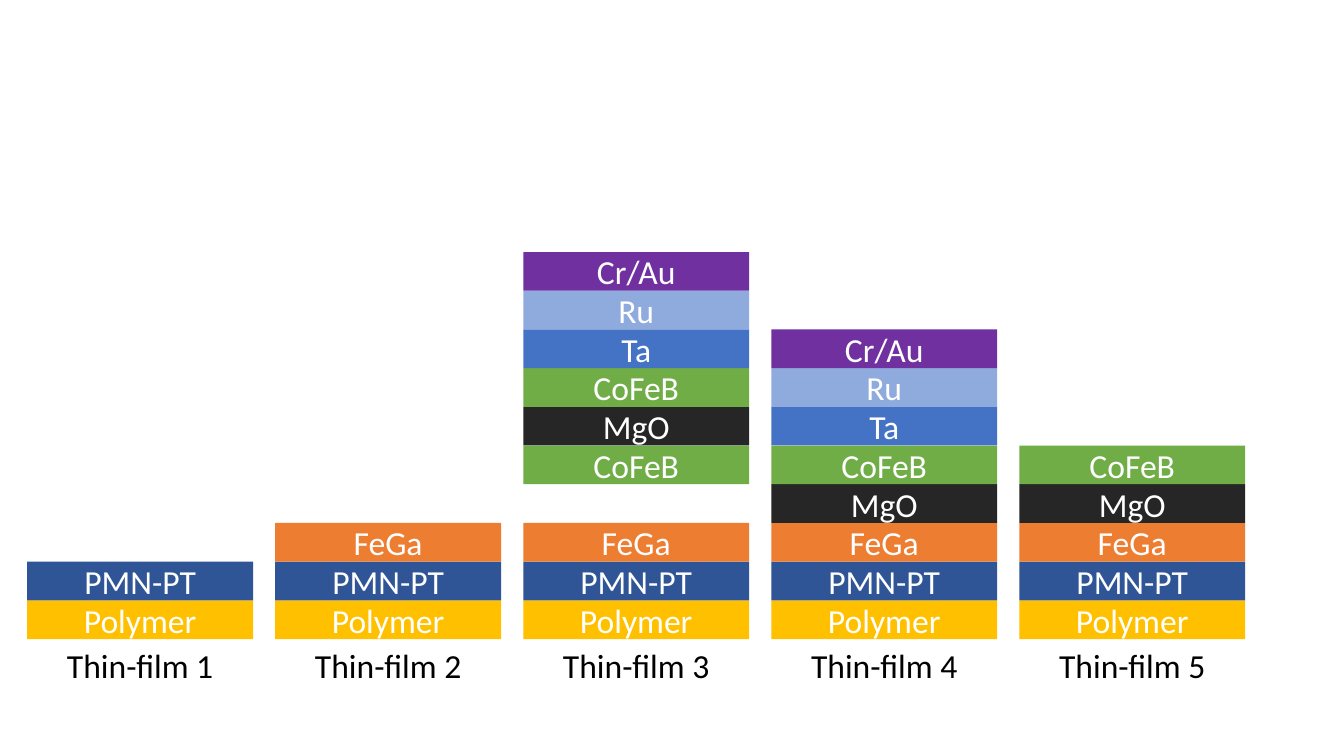
from dataclasses import dataclass
from typing import Optional

from pptx import Presentation
from pptx.dml.color import RGBColor
from pptx.enum.shapes import MSO_SHAPE
from pptx.enum.text import MSO_ANCHOR, MSO_AUTO_SIZE, PP_ALIGN
from pptx.util import Inches, Pt

# Layout in inches: ten layer levels fit between the top and the base
LEFT, PITCH, WIDTH = 0.27, 2.46, 2.24
TOP, BASE, LEVELS = 2.5, 6.34, 10
LAYER_H = (BASE - TOP) / LEVELS
LABEL_TOP, LABEL_W, LABEL_H = 6.35, 1.66, 0.5

MATERIALS = {
    "Polymer": "FFC000",
    "PMN-PT": "2F5597",
    "FeGa": "ED7D31",
    "CoFeB": "70AD47",
    "MgO": "262626",
    "Ta": "4472C4",
    "Ru": "8FAADC",
    "Cr/Au": "7030A0",
}


@dataclass
class Film:
    name: str
    layers: list[Optional[str]]  # bottom to top, None leaves a gap


SUBSTRATE = ["Polymer", "PMN-PT"]
MAGNETIC = SUBSTRATE + ["FeGa"]
CAP = ["Ta", "Ru", "Cr/Au"]
FILMS = [
    Film("Thin-film 1", SUBSTRATE),
    Film("Thin-film 2", MAGNETIC),
    Film("Thin-film 3", MAGNETIC + [None, "CoFeB", "MgO", "CoFeB"] + CAP),
    Film("Thin-film 4", MAGNETIC + ["MgO", "CoFeB"] + CAP),
    Film("Thin-film 5", MAGNETIC + ["MgO", "CoFeB"]),
]


def rgb(color: str) -> RGBColor:
    return RGBColor.from_string(color)


def write_text(s, text: str, color: str, frame: dict) -> None:
    tf = s.text_frame
    for name, value in frame.items():
        setattr(tf, name, value)
    p = tf.paragraphs[0]
    p.alignment = PP_ALIGN.CENTER
    r = p.add_run()
    r.text = text
    for name, value in {"name": "Calibri", "size": Pt(24)}.items():
        setattr(r.font, name, value)
    r.font.color.rgb = rgb(color)


def draw_layer(group, material: str, x: float, level: int) -> None:
    y = BASE - (level + 1) * LAYER_H
    s = group.shapes.add_shape(MSO_SHAPE.RECTANGLE, Inches(x), Inches(y),
                               Inches(WIDTH), Inches(LAYER_H))
    s.shadow.inherit = False
    s.fill.solid()
    s.fill.fore_color.rgb = rgb(MATERIALS[material])
    s.line.fill.background()
    write_text(s, material, "FFFFFF",
               {"word_wrap": True, "vertical_anchor": MSO_ANCHOR.MIDDLE})


def draw_film(slide, film: Film, x: float) -> None:
    # Layer stack
    group = slide.shapes.add_group_shape()
    for level, material in enumerate(film.layers):
        if material:
            draw_layer(group, material, x, level)
    # Label centred below the stack
    s = slide.shapes.add_textbox(Inches(x + (WIDTH - LABEL_W) / 2), Inches(LABEL_TOP),
                                 Inches(LABEL_W), Inches(LABEL_H))
    write_text(s, film.name, "000000",
               {"word_wrap": False, "auto_size": MSO_AUTO_SIZE.SHAPE_TO_FIT_TEXT})


def main() -> None:
    prs = Presentation()
    prs.slide_width, prs.slide_height = Inches(13.33), Inches(7.5)
    slide = prs.slides.add_slide(prs.slide_layouts[6])
    for i, film in enumerate(FILMS):
        draw_film(slide, film, LEFT + i * PITCH)
    prs.save("out.pptx")


if __name__ == "__main__":
    main()
